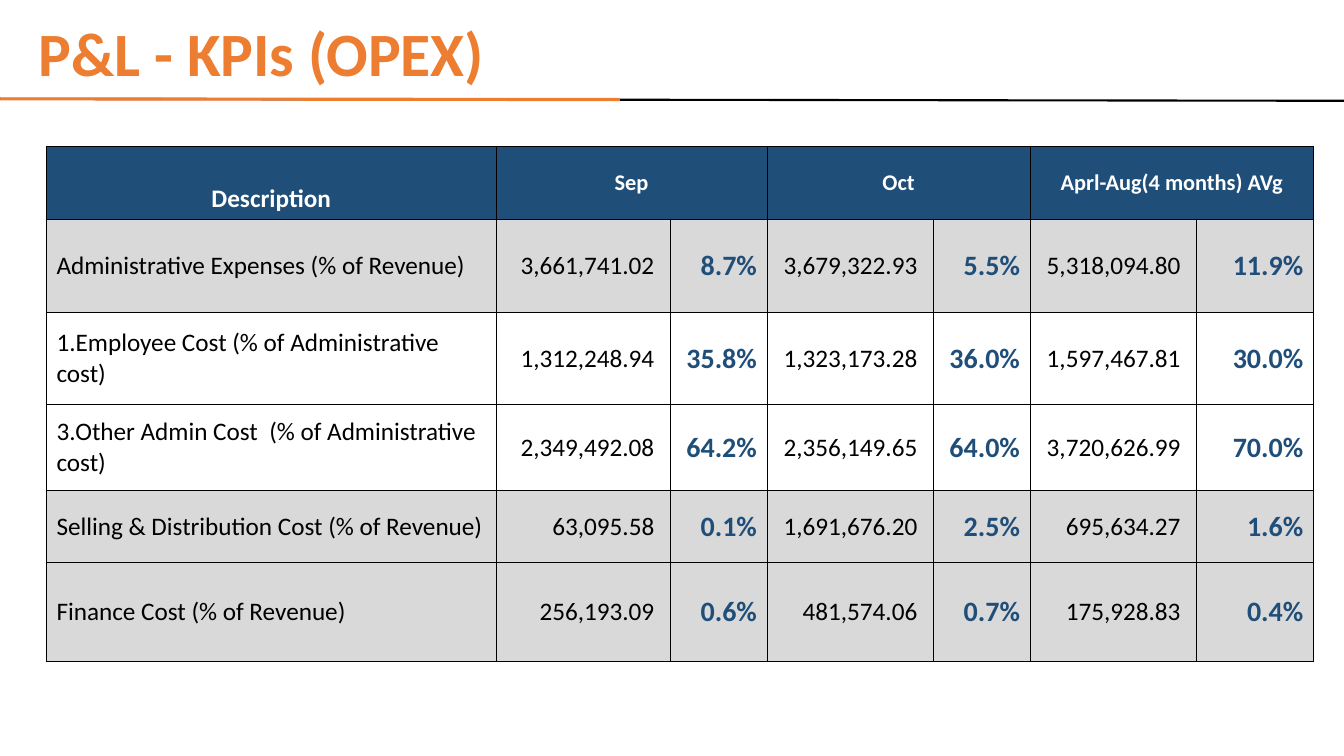
from lxml import etree
from pptx import Presentation
from pptx.dml.color import RGBColor
from pptx.enum import shapes, text
from pptx.oxml import parse_xml
from pptx.oxml.ns import nsdecls, qn
from pptx.util import Cm, Pt


def tint(code):
    return RGBColor.from_string(code)


def write(para, words, size, color, bold, align):
    para.alignment = align
    run = para.add_run()
    run.text = words
    run.font.name = "Calibri"
    run.font.size = Pt(size)
    run.font.bold = bold
    run.font.color.rgb = tint(color)


deck = Presentation()
deck.slide_width, deck.slide_height = Cm(33.87), Cm(19.05)
slide = deck.slides.add_slide(deck.slide_layouts[5])
left, center, right = text.PP_ALIGN.LEFT, text.PP_ALIGN.CENTER, text.PP_ALIGN.RIGHT
middle, bottom = text.MSO_ANCHOR.MIDDLE, text.MSO_ANCHOR.BOTTOM

title = slide.shapes.title
title.left, title.top, title.width, title.height = Cm(0.71), Cm(0.28), Cm(25.3), Cm(2.31)
frame = title.text_frame
frame.auto_size = text.MSO_AUTO_SIZE.NONE
frame.word_wrap = True
frame.vertical_anchor = middle
frame.paragraphs[0].line_spacing = 0.9
write(frame.paragraphs[0], "P&L - KPIs (OPEX)", 44, "ED7D31", True, left)

rules = [
    (0.08, 2.49, 33.9, 2.54, "000000", 1.5),
    (0, 2.49, 15.62, 2.51, "ED7D31", 2.25),
]
for x1, y1, x2, y2, color, weight in rules:
    rule = slide.shapes.add_connector(
        shapes.MSO_CONNECTOR.STRAIGHT, Cm(x1), Cm(y1), Cm(x2), Cm(y2))
    rule.line.color.rgb = tint(color)
    rule.line.width = Pt(weight)
    etree.SubElement(rule._element.spPr, qn("a:effectLst"))

heads = ["Description", " Sep ", "", "Oct", "", " Aprl-Aug(4 months) AVg ", ""]
costs = [
    ("Administrative Expenses (% of Revenue)", "D9D9D9",
     "3,661,741.02", "8.7%", "3,679,322.93", "5.5%", "5,318,094.80", "11.9%"),
    ("1.Employee Cost (% of Administrative cost)", "FFFFFF",
     "1,312,248.94", "35.8%", "1,323,173.28", "36.0%", "1,597,467.81", "30.0%"),
    ("3.Other Admin Cost  (% of Administrative cost)", "FFFFFF",
     "2,349,492.08", "64.2%", "2,356,149.65", "64.0%", "3,720,626.99", "70.0%"),
    ("Selling & Distribution Cost (% of Revenue)", "D9D9D9",
     "63,095.58", "0.1%", "1,691,676.20", "2.5%", "695,634.27", "1.6%"),
    ("Finance Cost (% of Revenue)", "D9D9D9",
     "256,193.09", "0.6%", "481,574.06", "0.7%", "175,928.83", "0.4%"),
]
widths = [11.33, 4.39, 2.44, 4.19, 2.44, 4.19, 2.95]
heights = [1.83, 2.36, 2.31, 2.18, 1.8, 2.49]
grid = slide.shapes.add_table(
    len(heights), len(widths), Cm(1.17), Cm(3.69), Cm(sum(widths)), Cm(sum(heights))).table
for col, width in zip(grid.columns, widths):
    col.width = Cm(width)
for row, height in zip(grid.rows, heights):
    row.height = Cm(height)

for cell in grid.iter_cells():
    cell.vertical_anchor = middle
    for side in ("lnL", "lnR", "lnT", "lnB"):
        cell._tc.get_or_add_tcPr().append(parse_xml(
            f'<a:{side} {nsdecls("a")} w="9525"><a:solidFill>'
            f'<a:srgbClr val="000000"/></a:solidFill></a:{side}>'))
    cell.fill.solid()

for c, head in enumerate(heads):
    cell = grid.cell(0, c)
    cell.fill.fore_color.rgb = tint("1F4E78")
    if head:
        write(cell.text_frame.paragraphs[0], head, 16 if c else 18, "FFFFFF", True, center)
grid.cell(0, 0).vertical_anchor = bottom
for c in (1, 3, 5):
    grid.cell(0, c).merge(grid.cell(0, c + 1))

for r, (label, shade, *values) in enumerate(costs, 1):
    for c, value in enumerate([label] + values):
        cell = grid.cell(r, c)
        cell.fill.fore_color.rgb = tint(shade)
        para = cell.text_frame.paragraphs[0]
        if c == 0:
            write(para, value, 18, "000000", False, left)
        elif c % 2:
            write(para, f" {value} ", 18, "000000", False, right)
        else:
            write(para, value, 20, "1F4E79", True, right)

deck.save("out.pptx")
